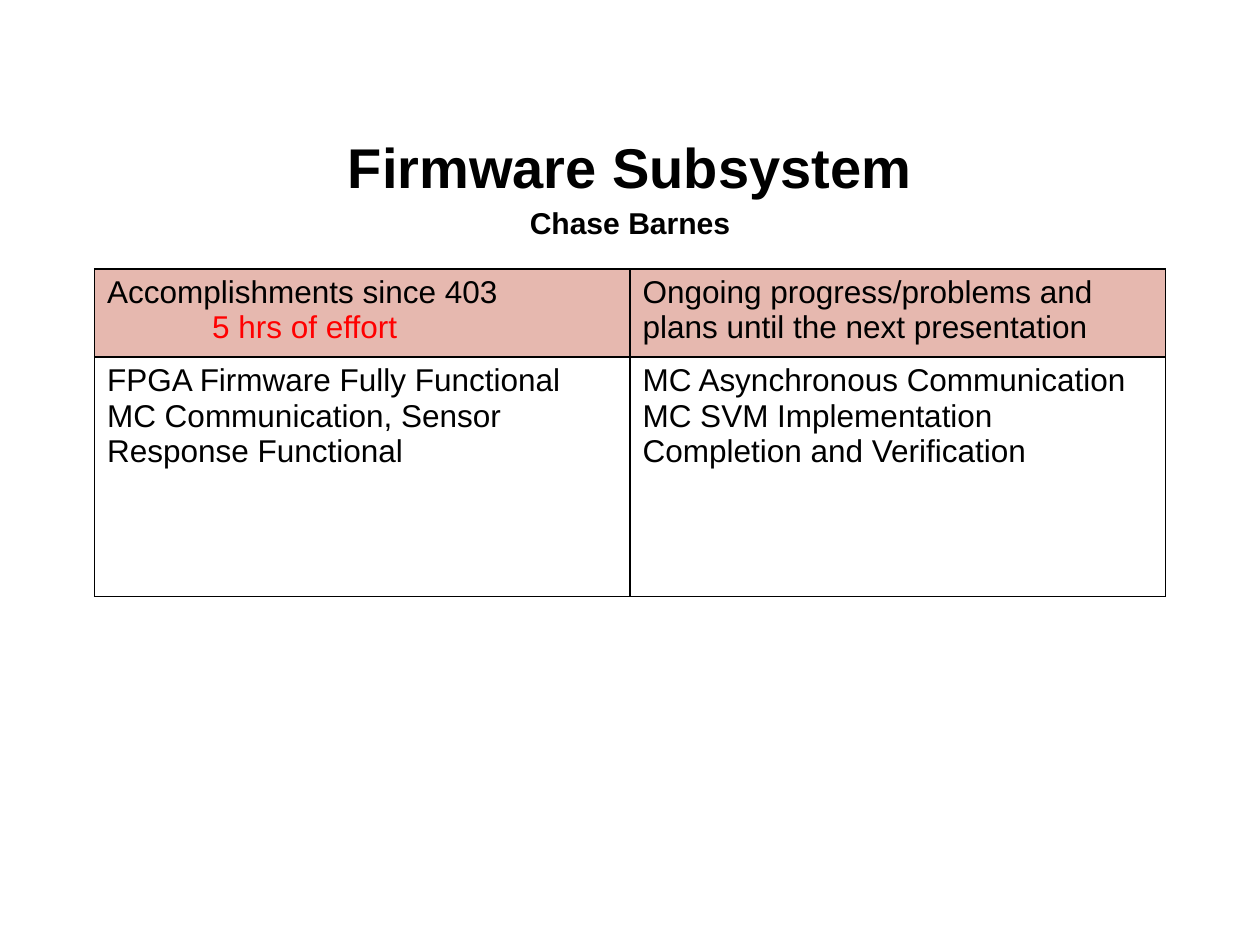
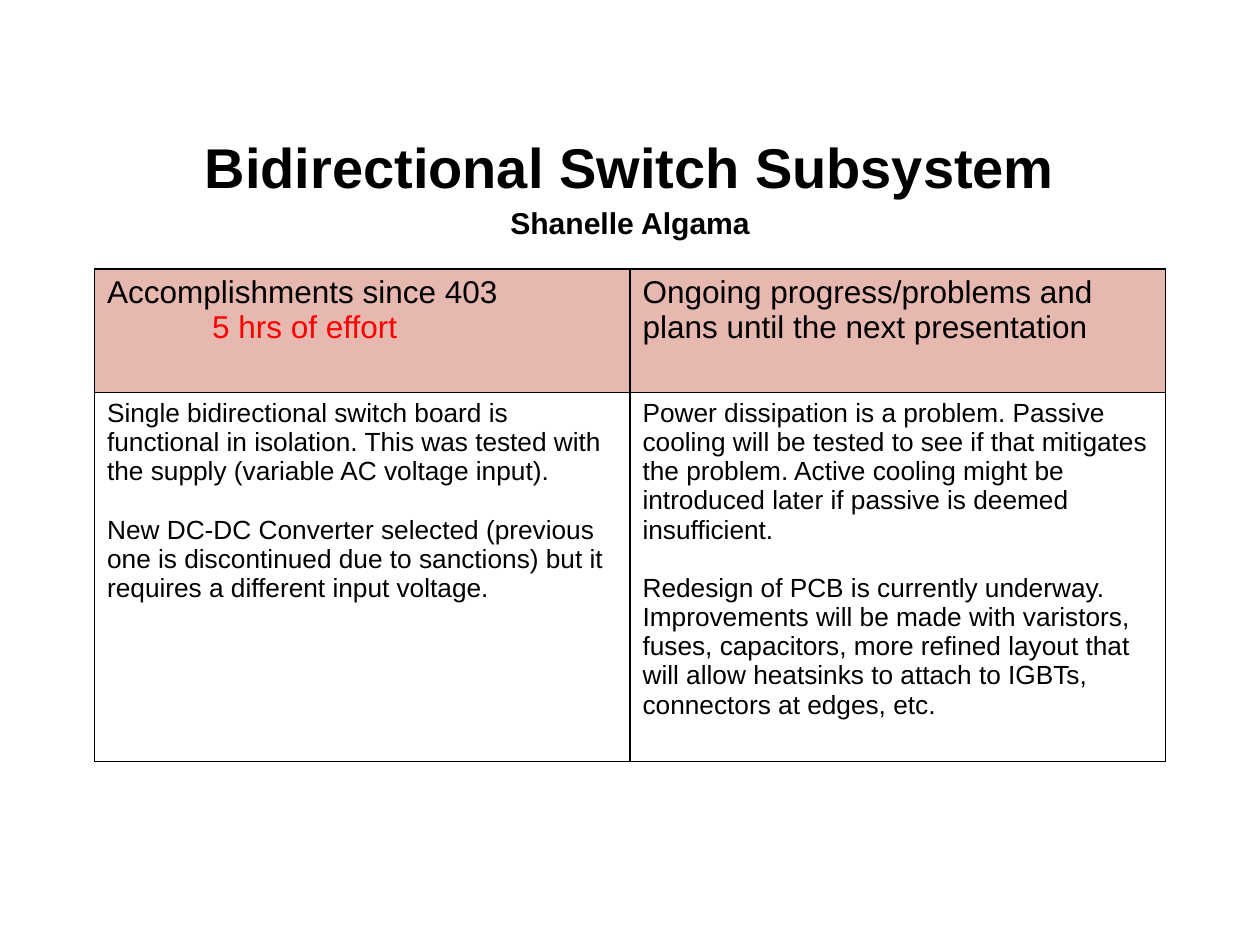
from pptx import Presentation
from pptx.dml.color import RGBColor
from pptx.enum import text
from pptx.oxml.ns import qn
from pptx.util import Pt
from lxml import etree

BLACK = RGBColor(0x00, 0x00, 0x00)
RED = RGBColor(0xFF, 0x00, 0x00)
ROSE = RGBColor(0xE6, 0xB8, 0xAF)
FONT = "Arial"


def write(frame, content, size=18, color=BLACK, bold=False, align=None,
          line_spacing=None, before=0, indent=0):
    """Add one formatted paragraph, reusing the empty first one."""
    paragraph = frame.paragraphs[0]
    if paragraph.runs:
        paragraph = frame.add_paragraph()
        paragraph.space_before = Pt(before)
    if indent:
        paragraph._p.get_or_add_pPr().set("marL", str(Pt(indent)))
    if align is not None:
        paragraph.alignment = align
    if line_spacing:
        paragraph.line_spacing = line_spacing
    run = paragraph.add_run()
    run.text = content
    run.font.name = FONT
    run.font.size = Pt(size)
    run.font.bold = bold
    run.font.color.rgb = color


class StatusDeck:
    def __init__(self):
        self.presentation = Presentation()
        self.presentation.slide_width = Pt(720)
        self.presentation.slide_height = Pt(540)
        self.slide = None

    def add_slide(self):
        layout = self.presentation.slide_layouts[6]
        self.slide = self.presentation.slides.add_slide(layout)

    def title(self, subsystem, owner):
        shape = self.slide.shapes.add_textbox(Pt(36), Pt(72), Pt(648), Pt(63.4))
        frame = shape.text_frame
        frame.word_wrap = True
        frame.vertical_anchor = text.MSO_ANCHOR.MIDDLE
        for content, size in ((subsystem, 32), (owner, 17.2)):
            write(frame, content, size=size, bold=True,
                  align=text.PP_ALIGN.CENTER, line_spacing=1.15)

    def cell_style(self, cell, fill=None):
        properties = cell._tc.get_or_add_tcPr()
        for side in ("lnL", "lnR", "lnT", "lnB"):
            line = etree.SubElement(properties, qn(f"a:{side}"), w=str(Pt(1)))
            solid = etree.SubElement(line, qn("a:solidFill"))
            etree.SubElement(solid, qn("a:srgbClr"), val=str(BLACK))
        if fill is None:
            cell.fill.background()
        else:
            cell.fill.solid()
            cell.fill.fore_color.rgb = fill

    def status_table(self, hours, accomplishments, plans, row_heights, size, gap):
        table = self.slide.shapes.add_table(
            2, 2, Pt(54), Pt(153.6), Pt(612), Pt(sum(row_heights))).table
        table.first_row = table.horz_banding = False
        for column in table.columns:
            column.width = Pt(306)
        for row, height, fill in zip(table.rows, row_heights, (ROSE, None)):
            row.height = Pt(height)
            for cell in row.cells:
                self.cell_style(cell, fill)

        # Header row
        done = table.cell(0, 0).text_frame
        write(done, "Accomplishments since 403")
        write(done, f"{hours} hrs of effort", color=RED, indent=60)
        write(table.cell(0, 1).text_frame,
              "Ongoing progress/problems and plans until the next presentation")

        # Status row
        for column, items in enumerate((accomplishments, plans)):
            for item in items:
                write(table.cell(1, column).text_frame, item, size=size, before=gap)


def main():
    deck = StatusDeck()

    # Firmware
    deck.add_slide()
    deck.title("Firmware Subsystem", "Chase Barnes")
    deck.status_table(
        hours=5,
        accomplishments=["FPGA Firmware Fully Functional",
                         "MC Communication, Sensor Response Functional"],
        plans=["MC Asynchronous Communication",
               "MC SVM Implementation Completion and Verification"],
        row_heights=(50.4, 136.8), size=18, gap=0)

    # Bidirectional switch
    deck.add_slide()
    deck.title("Bidirectional Switch Subsystem", "Shanelle Algama")
    deck.status_table(
        hours=5,
        accomplishments=[
            "Single bidirectional switch board is functional in isolation. "
            "This was tested with the supply (variable AC voltage input).",
            "New DC-DC Converter selected (previous one is discontinued due to "
            "sanctions) but it requires a different input voltage."],
        plans=[
            "Power dissipation is a problem. Passive cooling will be tested to "
            "see if that mitigates the problem. Active cooling might be "
            "introduced later if passive is deemed insufficient.",
            "Redesign of PCB is currently underway. Improvements will be made "
            "with varistors, fuses, capacitors, more refined layout that will "
            "allow heatsinks to attach to IGBTs, connectors at edges, etc."],
        row_heights=(70.6, 211), size=15, gap=16.7)

    deck.presentation.save("out.pptx")


if __name__ == "__main__":
    main()
